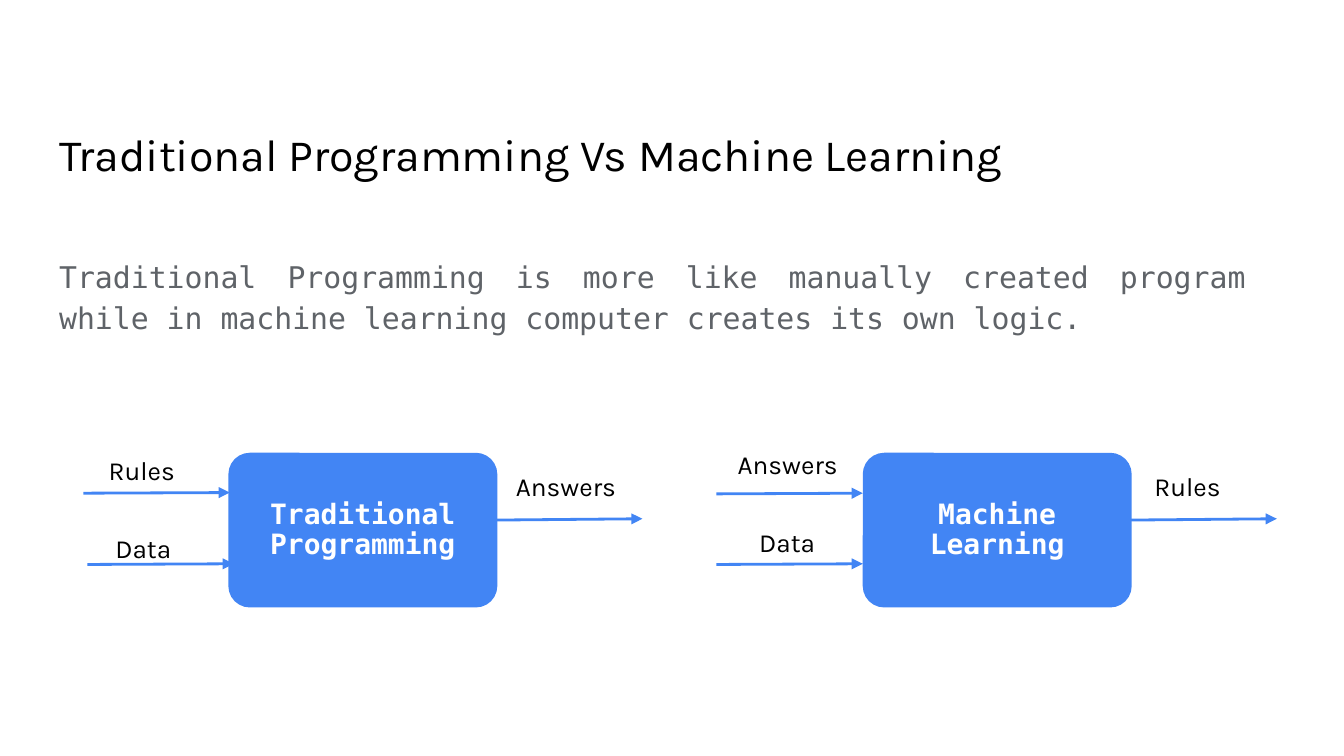
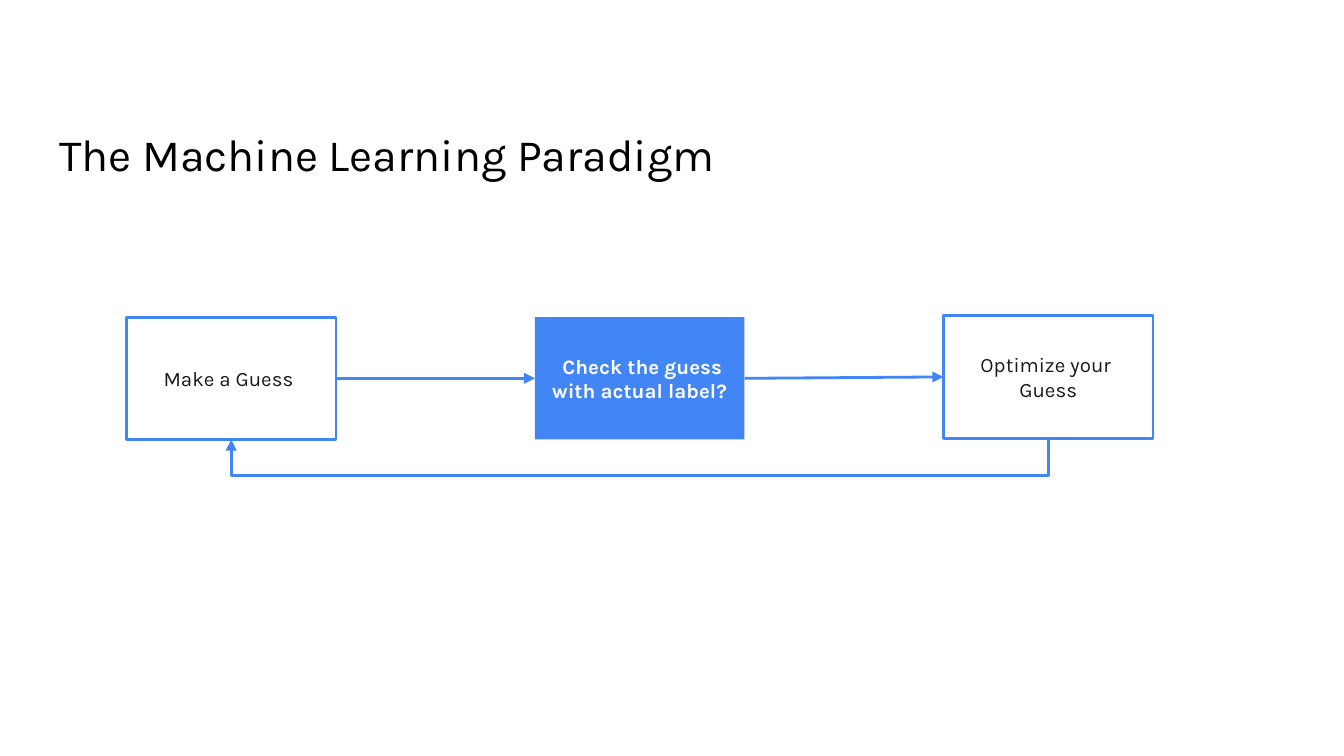
from dataclasses import dataclass

from lxml.etree import SubElement
from pptx import Presentation
from pptx.dml.color import RGBColor
from pptx.enum.shapes import MSO_CONNECTOR, MSO_SHAPE
from pptx.enum.text import MSO_ANCHOR, MSO_AUTO_SIZE, PP_ALIGN
from pptx.oxml.ns import qn
from pptx.util import Inches, Pt


@dataclass(frozen=True)
class Theme:
    """Colours, fonts and sizes that both slides share."""
    blue: str = "4285F4"
    white: str = "FFFFFF"
    black: str = "000000"
    dark: str = "1A1A1A"
    grey: str = "5F6368"
    sans: str = "Karla"
    mono: str = "DejaVu Sans Mono"
    title_size: float = 24
    body_size: float = 16
    box_size: float = 15
    label_size: float = 14
    step_size: float = 11
    line_width: float = 1.5


THEME = Theme()
COLUMNS, ROWS = 100, 56.25
CELL = Inches(10) / COLUMNS


def grid(*cells):
    """Turn columns and rows into slide lengths."""
    return [round(cell * CELL) for cell in cells]


def write(shape, *lines, size, color=THEME.black, font=THEME.sans, bold=False,
          align=PP_ALIGN.LEFT, anchor=MSO_ANCHOR.TOP, spacing=1.0, inset=1.0,
          fit=MSO_AUTO_SIZE.NONE):
    """Fill a shape with one formatted paragraph per line."""
    frame = shape.text_frame
    frame.word_wrap = True
    frame.auto_size = fit
    frame.vertical_anchor = anchor
    margin = grid(inset)[0]
    frame.margin_left = frame.margin_right = margin
    frame.margin_top = frame.margin_bottom = margin
    frame.text = "\n".join(lines)
    for paragraph in frame.paragraphs:
        paragraph.alignment = align
        paragraph.line_spacing = spacing
        paragraph.space_before = paragraph.space_after = Pt(0)
        for run in paragraph.runs:
            run.font.name = font
            run.font.size = Pt(size)
            run.font.bold = bold
            run.font.color.rgb = RGBColor.from_string(color)


def place(shape, left, top, width, height):
    """Move a shape to a place on the grid."""
    shape.left, shape.top, shape.width, shape.height = grid(left, top, width, height)


def add_titled_slide(presentation, layout, title):
    """Add a slide with the shared title style."""
    slide = presentation.slides.add_slide(presentation.slide_layouts.get_by_name(layout))
    place(slide.shapes.title, 3.4, 6.1, 92.3, 8.3)
    write(slide.shapes.title, title, size=THEME.title_size, anchor=MSO_ANCHOR.BOTTOM)
    return slide


def write_body(slide, text):
    """Write a justified paragraph without a bullet in the body placeholder."""
    body = slide.placeholders[1]
    place(body, 3.4, 17.85, 90.3, 8.65)
    write(body, text, size=THEME.body_size, color=THEME.grey, font=THEME.mono,
          align=PP_ALIGN.JUSTIFY, spacing=1.15)
    properties = body.text_frame.paragraphs[0]._p.get_or_add_pPr()
    properties.set("marL", "0")
    properties.set("indent", "0")
    SubElement(properties, qn("a:buNone"))


def add_box(slide, left, top, width, height, *lines, corner=0.0, fill=THEME.blue,
            outline=True, **text_format):
    """Add a box with centred text."""
    box = slide.shapes.add_shape(MSO_SHAPE.ROUNDED_RECTANGLE, *grid(left, top, width, height))
    box.adjustments[0] = corner
    box.shadow.inherit = False
    box.fill.solid()
    box.fill.fore_color.rgb = RGBColor.from_string(fill)
    if outline:
        box.line.color.rgb = RGBColor.from_string(THEME.blue)
        box.line.width = Pt(THEME.line_width)
    else:
        box.line.fill.background()
    write(box, *lines, align=PP_ALIGN.CENTER, anchor=MSO_ANCHOR.MIDDLE, **text_format)
    return box


def add_label(slide, text, left, top, width=9.6):
    """Add a small label beside an arrow."""
    label = slide.shapes.add_textbox(*grid(left, top, width, 4.4))
    write(label, text, size=THEME.label_size, fit=MSO_AUTO_SIZE.SHAPE_TO_FIT_TEXT)


def add_arrow(slide, *ends, kind=MSO_CONNECTOR.STRAIGHT):
    """Add an arrow between two points given as columns and rows."""
    arrow = slide.shapes.add_connector(kind, *grid(*ends))
    arrow.line.color.rgb = RGBColor.from_string(THEME.blue)
    arrow.line.width = Pt(THEME.line_width)
    SubElement(arrow.line._get_or_add_ln(), qn("a:tailEnd"), type="triangle")
    SubElement(arrow._element.spPr, qn("a:effectLst"))
    return arrow


def join(slide, source, target):
    """Join the right side of one box to the left side of the next."""
    arrow = add_arrow(slide, 0, 0, 0, 0)
    arrow.begin_connect(source, 3)
    arrow.end_connect(target, 1)


def loop_back(slide, source, target, depth):
    """Lead an elbow arrow under the boxes from the last to the first."""
    arrow = add_arrow(slide, 0, 0, 0, 0, kind=MSO_CONNECTOR.ELBOW)
    arrow.begin_connect(source, 2)
    arrow.end_connect(target, 2)
    start_x, start_y = arrow.begin_x, arrow.begin_y
    end_x, end_y = arrow.end_x, arrow.end_y
    span, drop = start_x - end_x, end_y - start_y
    frame = arrow._element.spPr.xfrm
    frame.flipH = False
    frame.rot = 90.0
    arrow.left = (start_x + end_x - drop) // 2
    arrow.top = (start_y + end_y - span) // 2
    arrow.width, arrow.height = drop, span
    guides = arrow._element.spPr.find(qn("a:prstGeom")).get_or_add_avLst()
    ratio = round(100000 * grid(depth)[0] / drop)
    SubElement(guides, qn("a:gd"), name="adj1", fmla=f"val {ratio}")


def add_process(slide, left, lines, inputs, output):
    """Draw a box with its input arrows, its output arrow and their labels."""
    add_box(slide, left, 33.8, 19.8, 11.3, *lines, corner=0.132, inset=0.9,
            size=THEME.box_size, color=THEME.white, font=THEME.mono, bold=True, spacing=0.9)
    for start, arrow_top, *label in inputs:
        add_arrow(slide, start, arrow_top, start + 10.9, arrow_top - 0.05)
        add_label(slide, *label)
    right = left + 19.8
    add_arrow(slide, right, 38.7, right + 10.9, 38.6)
    add_label(slide, *output)


def build_comparison(presentation):
    """Build the slide that compares two ways of programming."""
    slide = add_titled_slide(presentation, "Title and Content",
                             "Traditional Programming Vs Machine Learning")
    write_body(slide, "Traditional Programming is more like manually created program "
                      "while in machine learning computer creates its own logic.")
    add_process(slide, 17.1, ["Traditional Programming"],
                [(6.2, 36.7, "Rules", 7.1, 32.8), (6.5, 42, "Data", 7.6, 38.6, 6.4)],
                ("Answers", 37.4, 34))
    add_process(slide, 64.3, ["Machine", "Learning"],
                [(53.3, 36.75, "Answers", 53.9, 32.4), (53.3, 42, "Data", 55.5, 38.2, 6.4)],
                ("Rules", 84.9, 34))


def build_paradigm(presentation):
    """Build the slide with the guessing loop."""
    slide = add_titled_slide(presentation, "Title Only", "The Machine Learning Paradigm")
    plain = dict(fill=THEME.white, color=THEME.dark)
    strong = dict(outline=False, color=THEME.white, bold=True)
    steps = [(["Make a Guess "], 23.6, plain),
             ([" Check the guess with actual label?"], 23.6, strong),
             (["Optimize your ", " Guess "], 23.5, plain)]
    boxes = [add_box(slide, 9.4 + 30.4 * index, top, 15.6, 9.1, *lines,
                     size=THEME.step_size, inset=0, **style)
             for index, (lines, top, style) in enumerate(steps)]
    for source, target in zip(boxes, boxes[1:]):
        join(slide, source, target)
    loop_back(slide, boxes[-1], boxes[0], depth=2.8)


def main():
    """Build both slides and save them."""
    presentation = Presentation()
    presentation.slide_width, presentation.slide_height = grid(COLUMNS, ROWS)
    build_comparison(presentation)
    build_paradigm(presentation)
    presentation.save("out.pptx")


if __name__ == "__main__":
    main()
